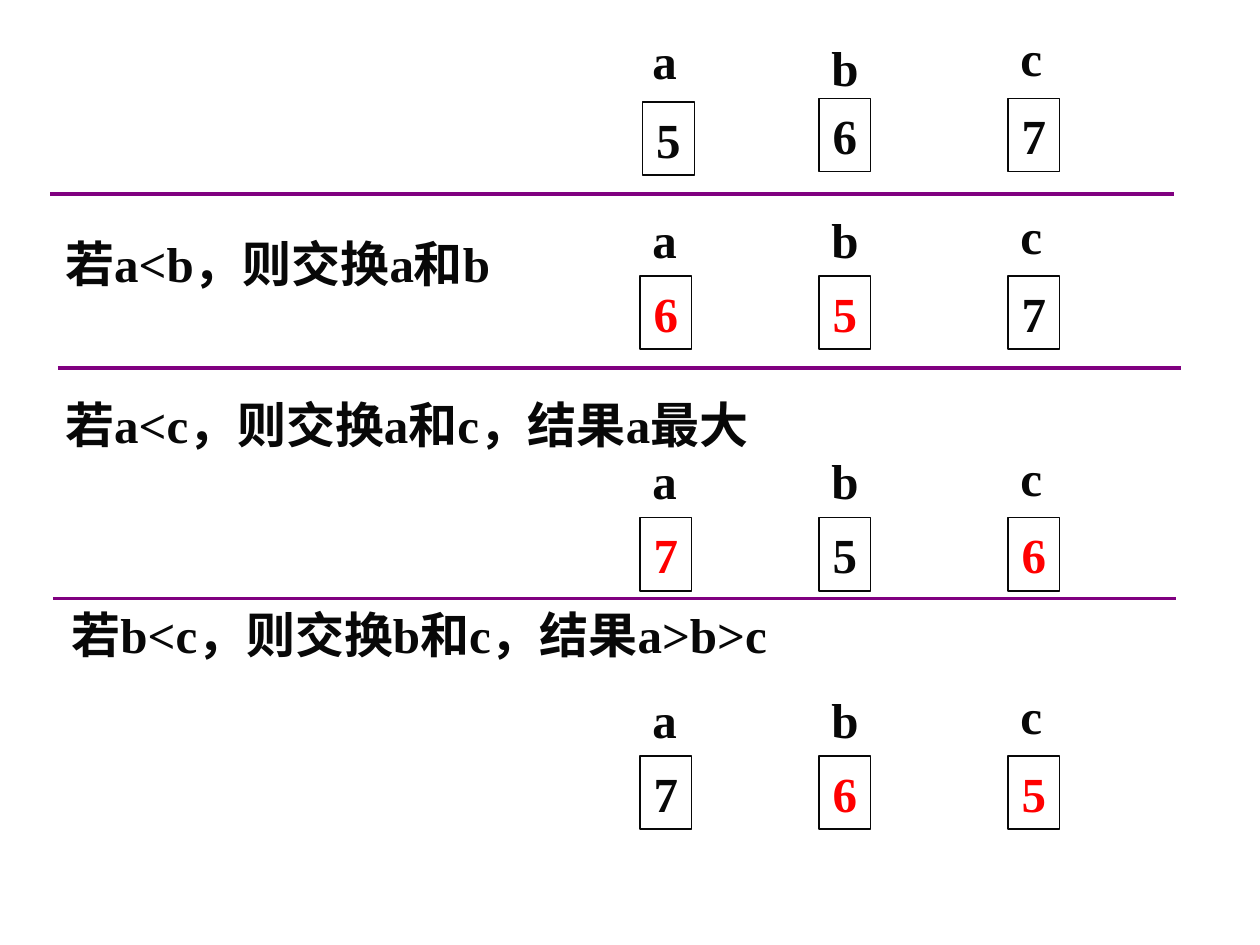
from dataclasses import dataclass
from typing import NamedTuple

from lxml.etree import SubElement
from pptx import Presentation
from pptx.dml.color import RGBColor as Color
from pptx.enum.shapes import MSO_CONNECTOR as Connector, MSO_SHAPE as Shape
from pptx.enum.text import MSO_ANCHOR as Anchor, MSO_AUTO_SIZE as AutoSize, PP_ALIGN as Align
from pptx.oxml.ns import qn
from pptx.slide import Slide
from pptx.text.text import TextFrame
from pptx.util import Pt


@dataclass(frozen=True)
class Theme:
    font: str = "Times New Roman"
    size: float = 28
    ink: Color = Color(0x08, 0x08, 0x08)
    swapped: Color = Color(0xFF, 0x00, 0x00)
    divider: Color = Color(0x80, 0x00, 0x80)
    box_line: float = 0.75
    divider_line: float = 2.25


class Variable(NamedTuple):
    name: str
    left: float
    label_rise: float


class Nudge(NamedTuple):
    label_down: float = 0
    box_right: float = 0
    box_down: float = 0


@dataclass(frozen=True)
class Stage:
    """Values of a, b and c after one comparison; swapped names those in red."""
    values: str
    box_top: float
    swapped: str = ""
    nudges: tuple[Nudge, ...] = (Nudge(),) * 3


class Caption(NamedTuple):
    text: str
    left: float
    top: float
    width: float
    height: float
    line_spacing: float = 1.0


class Divider(NamedTuple):
    left: float
    top: float


THEME = Theme()
BOX_WIDTH, BOX_HEIGHT = 29.5, 41.76
LABEL_WIDTH, LABEL_HEIGHT = 84.24, 41.04
DIVIDER_LENGTH = 642

VARIABLES = (
    Variable("a", 365.76, 41.76),
    Variable("b", 468, 41.76),
    Variable("c", 576, 43.92),
)
STAGES = (
    Stage("567", 56.16, nudges=(Nudge(-0.72, 1.44, 2.16), Nudge(3.6), Nudge())),
    Stage("657", 157.68, "ab"),
    Stage("756", 295.92, "ac"),
    Stage("765", 432, "bc"),
)
CAPTIONS = (
    Caption("若a<b，则交换a和b", 30.24, 133.92, 257.76, 37.44, 0.9),
    Caption("若a<c，则交换a和c，结果a最大", 30.24, 221.76, 405.36, 41.04),
    Caption("若b<c，则交换b和c，结果a>b>c", 33.84, 342, 412.56, 41.04),
)
DIVIDERS = (Divider(28.8, 110.88), Divider(33.12, 210.24), Divider(30.24, 342))


def write(frame: TextFrame, text: str, color: Color, wrap: bool = True,
          line_spacing: float = 1.0, align: Align = Align.LEFT) -> None:
    frame.word_wrap = wrap
    frame.auto_size = AutoSize.SHAPE_TO_FIT_TEXT
    para = frame.paragraphs[0]
    para.alignment = align
    para.line_spacing = line_spacing
    span = para.add_run()
    span.text = text
    span.font.name = THEME.font
    span.font.size = Pt(THEME.size)
    span.font.bold = True
    span.font.color.rgb = color


def add_text(page: Slide, caption: Caption) -> None:
    box = page.shapes.add_textbox(Pt(caption.left), Pt(caption.top),
                                  Pt(caption.width), Pt(caption.height))
    write(box.text_frame, caption.text, THEME.ink, line_spacing=caption.line_spacing)


def add_value_box(page: Slide, left: float, top: float, value: str, color: Color) -> None:
    box = page.shapes.add_shape(Shape.RECTANGLE, Pt(left), Pt(top),
                                Pt(BOX_WIDTH), Pt(BOX_HEIGHT))
    box.shadow.inherit = False
    box.fill.background()
    box.line.color.rgb = THEME.ink
    box.line.width = Pt(THEME.box_line)
    box.text_frame.vertical_anchor = Anchor.MIDDLE
    write(box.text_frame, value, color, wrap=False, align=Align.CENTER)


def add_stage(page: Slide, stage: Stage) -> None:
    for variable, value, nudge in zip(VARIABLES, stage.values, stage.nudges):
        label_top = stage.box_top - variable.label_rise + nudge.label_down
        add_text(page, Caption(variable.name, variable.left, label_top,
                               LABEL_WIDTH, LABEL_HEIGHT))
        color = THEME.swapped if variable.name in stage.swapped else THEME.ink
        add_value_box(page, variable.left + nudge.box_right,
                      stage.box_top + nudge.box_down, value, color)


def add_divider(page: Slide, divider: Divider) -> None:
    line = page.shapes.add_connector(
        Connector.STRAIGHT, Pt(divider.left), Pt(divider.top),
        Pt(divider.left + DIVIDER_LENGTH), Pt(divider.top))
    line.line.color.rgb = THEME.divider
    line.line.width = Pt(THEME.divider_line)
    SubElement(line._element.spPr, qn("a:effectLst"))


def main() -> None:
    deck = Presentation()
    deck.slide_width, deck.slide_height = Pt(720), Pt(540)
    page = deck.slides.add_slide(deck.slide_layouts[6])
    for stage in STAGES:
        add_stage(page, stage)
    for caption in CAPTIONS:
        add_text(page, caption)
    for divider in DIVIDERS:
        add_divider(page, divider)
    deck.save("out.pptx")


if __name__ == "__main__":
    main()
